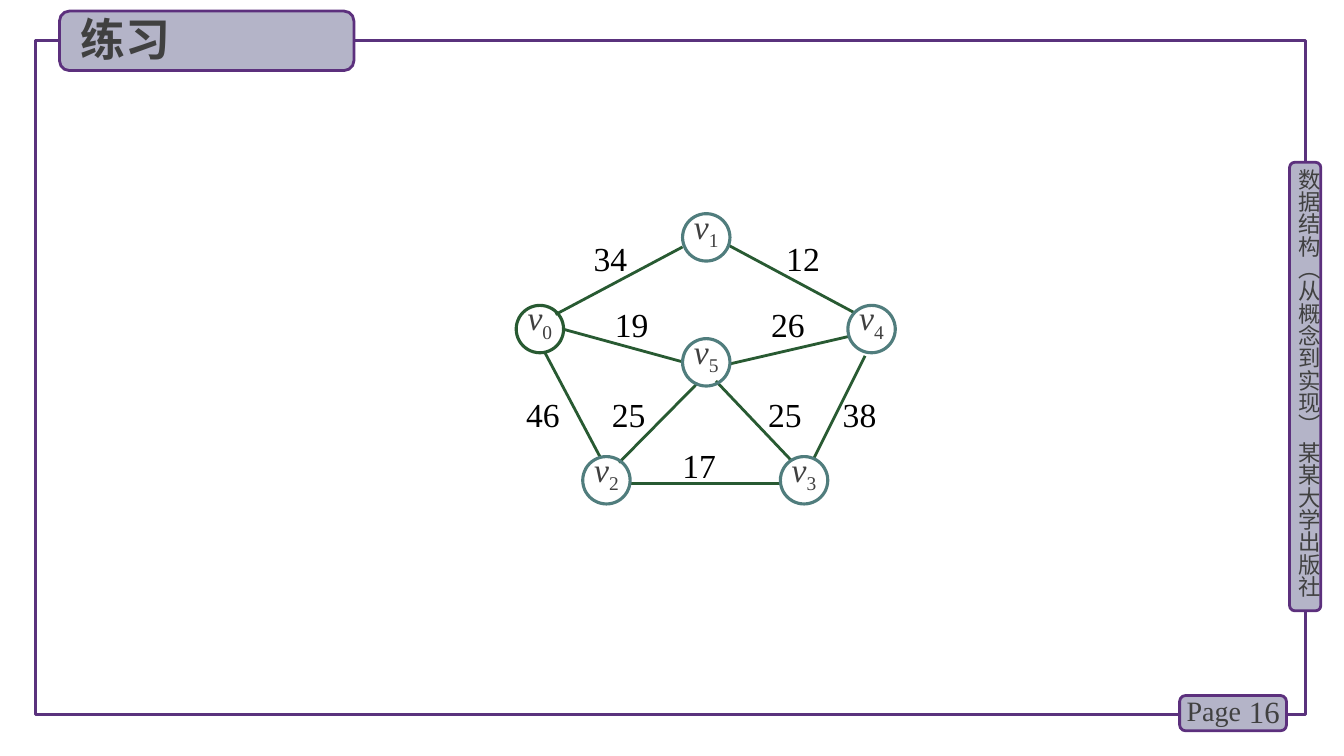
from lxml import etree
from pptx import Presentation
from pptx.dml.color import RGBColor
from pptx.enum.shapes import MSO_CONNECTOR, MSO_SHAPE
from pptx.enum.text import MSO_ANCHOR, MSO_AUTO_SIZE, PP_ALIGN
from pptx.oxml.ns import qn
from pptx.util import Inches, Pt

RECTANGLE, ROUNDED, OVAL = MSO_SHAPE.RECTANGLE, MSO_SHAPE.ROUNDED_RECTANGLE, MSO_SHAPE.OVAL
STRAIGHT = MSO_CONNECTOR.STRAIGHT
TOP, MIDDLE = MSO_ANCHOR.TOP, MSO_ANCHOR.MIDDLE
LEFT, CENTER, RIGHT = PP_ALIGN.LEFT, PP_ALIGN.CENTER, PP_ALIGN.RIGHT
NO_AUTOFIT = MSO_AUTO_SIZE.NONE

color = RGBColor.from_string
LATIN, CHINESE = "Times New Roman", "Noto Sans CJK SC"
GRAY, BLACK, PANEL = "404040", "000000", "B4B4C8"
PURPLE, GREEN, TEAL = "5C307D", "285A32", "507D7D"

deck = Presentation()
deck.slide_width, deck.slide_height = Inches(13.33), Inches(7.5)
page = deck.slides.add_slide(deck.slide_layouts[5])


def add_shape(kind, area, line, width, fill=None):
    shape = page.shapes.add_shape(kind, *map(Inches, area))
    shape.shadow.inherit = False
    shape.line.color.rgb = color(line)
    shape.line.width = Pt(width)
    if fill:
        shape.fill.solid()
        shape.fill.fore_color.rgb = color(fill)
    else:
        shape.fill.background()
    return shape


def write(box, text, size, ink=GRAY, face=LATIN, align=LEFT, anchor=TOP, margin=None, **style):
    frame = box.text_frame
    settings = {"word_wrap": True, "auto_size": NO_AUTOFIT, "vertical_anchor": anchor}
    if margin is not None:
        for side in ("left", "top", "right", "bottom"):
            settings[f"margin_{side}"] = Inches(margin)
    for name, value in settings.items():
        setattr(frame, name, value)
    para = frame.paragraphs[0]
    para.alignment = align
    span = para.add_run()
    span.text = text
    for name, value in {"size": Pt(size), "name": face, **style}.items():
        setattr(span.font, name, value)
    span.font.color.rgb = color(ink)
    east_asian = etree.SubElement(span.font._element, qn("a:ea"))
    east_asian.set("typeface", face)
    return span


add_shape(RECTANGLE, (0.35, 0.4, 12.6, 6.69), "5A327D", 2.25)
for area in [(12.79, 1.61, 0.31, 4.45), (11.7, 6.9, 1.06, 0.35)]:
    add_shape(ROUNDED, area, PURPLE, 2, PANEL)

book = page.shapes.add_textbox(Inches(12.85), Inches(1.67), Inches(0.27), Inches(4.49))
write(book, "数据结构（从概念到实现） 某某大学出版社", 16, face=CHINESE, margin=0)
book.element.txBody.bodyPr.set("vert", "eaVert")

number = page.shapes.add_textbox(Inches(12.2), Inches(6.86), Inches(0.59), Inches(0.4))
write(number, "16", 22, align=RIGHT, anchor=MIDDLE)
page_label = page.shapes.add_textbox(Inches(11.67), Inches(6.83), Inches(0.78), Inches(0.44))
write(page_label, "Page", 20)

edges = [
    (6.24, 4.8, 7.74, 4.8),
    (6.77, 2.45, 5.51, 3.12),
    (6.92, 3.8, 6.14, 4.59),
    (8.47, 3.1, 7.22, 2.43),
    (5.95, 4.53, 5.4, 3.49),
    (8.58, 3.53, 8.07, 4.55),
    (6.77, 3.59, 5.6, 3.27),
    (7.85, 4.57, 7.1, 3.78),
    (8.41, 3.34, 7.24, 3.61),
]
for ends in edges:
    edge = page.shapes.add_connector(STRAIGHT, *map(Inches, ends))
    edge.line.color.rgb = color(GREEN)
    edge.line.width = Pt(2)
    etree.SubElement(edge.element.spPr, qn("a:effectLst"))

nodes = [(5.12, 3.03), (6.77, 2.12), (5.78, 4.53), (7.74, 4.53), (8.41, 3.03), (6.77, 3.36)]
for index, (left, top) in enumerate(nodes):
    node = add_shape(OVAL, (left, top, 0.47, 0.47), TEAL if index else GREEN, 2.25)
    write(node, "v", 24, align=CENTER, margin=0, italic=True)
    subscript = write(node, str(index), 24, align=CENTER, margin=0, italic=False)
    subscript.font._element.set("baseline", "-25000")
    node.text_frame.paragraphs[0].line_spacing = Pt(22)

weights = [
    ("34", 5.79, 2.31), ("12", 7.7, 2.31),
    ("19", 6, 2.97), ("26", 7.55, 2.97),
    ("46", 5.12, 3.86), ("25", 5.97, 3.86), ("25", 7.52, 3.86), ("38", 8.26, 3.86),
    ("17", 6.67, 4.36),
]
for weight, left, top in weights:
    label = page.shapes.add_textbox(Inches(left), Inches(top), Inches(0.66), Inches(0.5))
    write(label, weight, 24, ink=BLACK)

title_panel = add_shape(ROUNDED, (0.59, 0.11, 2.92, 0.59), PURPLE, 2, PANEL)
title = page.shapes.title
title_area = {"left": 0.7, "top": 0.07, "width": 3.15, "height": 0.64}
for name, value in title_area.items():
    setattr(title, name, Inches(value))
write(title, "练习", 32, face=CHINESE, bold=True)
title_panel.element.addnext(title.element)

deck.save("out.pptx")
